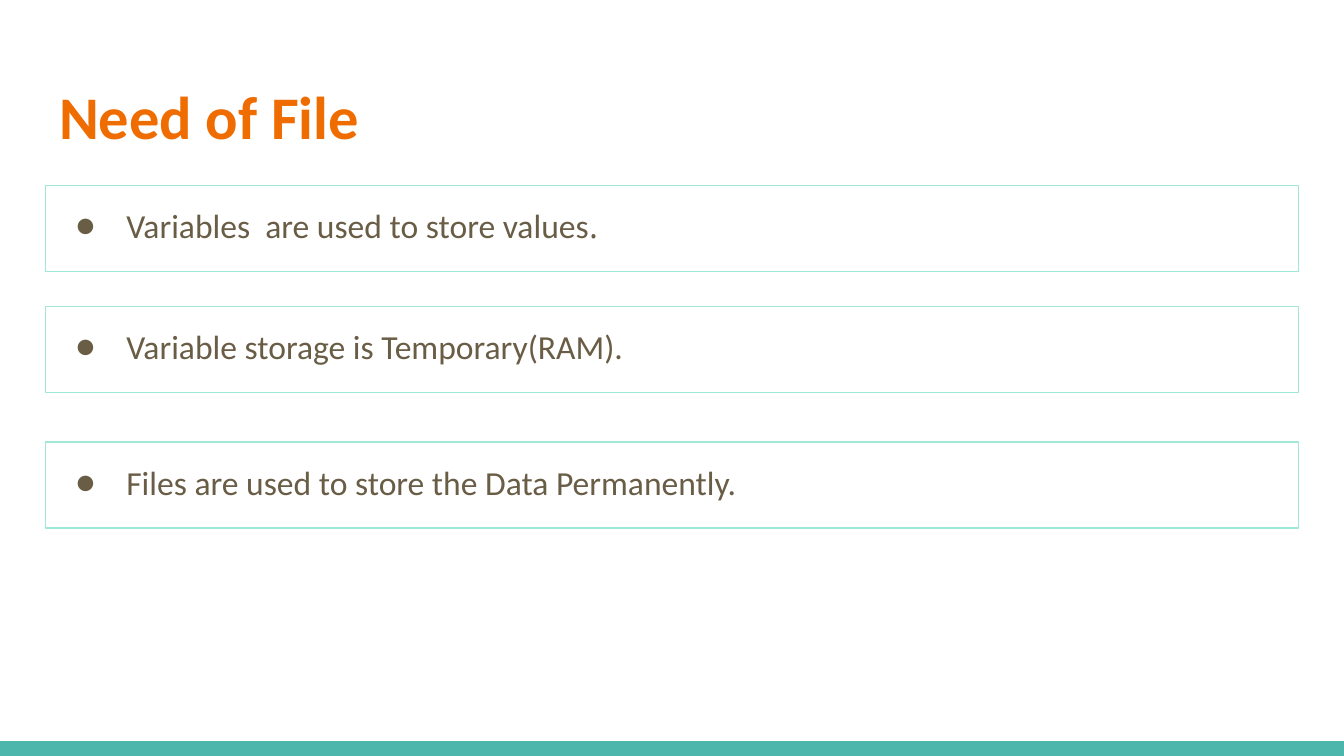
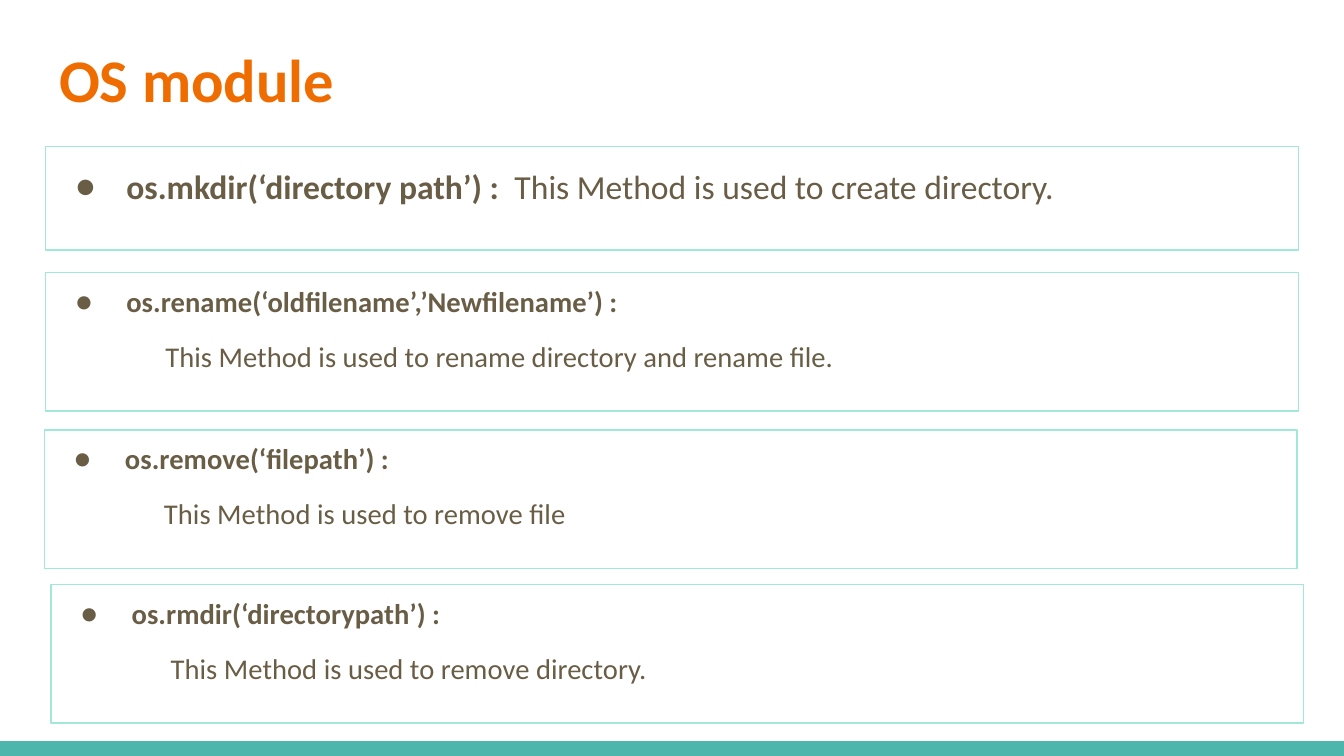
from lxml.etree import SubElement
from pptx import Presentation
from pptx.dml.color import RGBColor
from pptx.enum.shapes import MSO_SHAPE
from pptx.enum.text import MSO_ANCHOR, MSO_AUTO_SIZE, PP_ALIGN
from pptx.oxml.ns import qn
from pptx.util import Inches, Pt

# Grid: 100 columns by 56.25 rows, square cells
CELL = Inches(0.1)
COLS, ROWS = 100, 56.25
LEFT, WIDTH = 3.4, 93.2


def rgb(hex_color):
    return RGBColor.from_string(hex_color)


def assign(obj, values):
    for name, value in values.items():
        setattr(obj, name, value)


class Deck:
    TEAL, MINT, ORANGE, BROWN = "4DB6AC", "A1E8D9", "EF6C00", "695D46"
    FONT, ALT_FONT = "Calibri", "Open Sans"
    FRAME = {
        "word_wrap": True, "auto_size": MSO_AUTO_SIZE.NONE,
        "vertical_anchor": MSO_ANCHOR.TOP,
        "margin_left": CELL, "margin_right": CELL,
        "margin_top": CELL, "margin_bottom": CELL,
    }

    def __init__(self):
        self.prs = Presentation()
        assign(self.prs, {"slide_width": int(COLS * CELL),
                          "slide_height": int(ROWS * CELL)})
        self.s = None

    def place(self, sp, col, row, cols, rows):
        names = ("left", "top", "width", "height")
        assign(sp, {n: int(v * CELL) for n, v in zip(names, (col, row, cols, rows))})

    def slide(self, title, row):
        """Start a slide from the layout with a title and four bodies."""
        first = self.s is None
        self.s = self.prs.slides.add_slide(self.prs.slide_layouts[4])
        if first:
            self.master_band()
        self.bodies = [ph for ph in self.s.placeholders if ph.placeholder_format.idx]
        sp = self.s.shapes.title
        self.place(sp, LEFT, row, WIDTH, 7.7)
        assign(sp.text_frame, self.FRAME)
        p = sp.text_frame.paragraphs[0]
        p.alignment = PP_ALIGN.LEFT
        self.run(p, title, 32.4, self.ORANGE, bold=True)

    def master_band(self):
        """Draw the bottom band and hand it to the slide master."""
        sp = self.s.shapes.add_shape(MSO_SHAPE.RECTANGLE, 0, 0, CELL, CELL)
        self.place(sp, 0, ROWS - 1.1, COLS, 1.1)
        sp.shadow.inherit = False
        sp.fill.solid()
        sp.fill.fore_color.rgb = rgb(self.TEAL)
        sp.line.fill.background()
        self.prs.slide_master.shapes._spTree.append(sp._element)

    def panel(self, row, rows, col=LEFT):
        """Frame the next body placeholder and return its text frame."""
        sp = self.bodies.pop(0)
        self.place(sp, col, row, WIDTH, rows)
        sp.line.width = Pt(0.75)
        sp.line.color.rgb = rgb(self.MINT)
        tf = sp.text_frame
        assign(tf, self.FRAME)
        return tf

    def paragraph(self, p, spacing, margin=0.5, bullet=True, gap=0):
        assign(p, {"alignment": PP_ALIGN.LEFT, "line_spacing": spacing,
                   "space_before": Pt(gap), "space_after": Pt(gap)})
        pPr = p._p.get_or_add_pPr()
        pPr.set("marL", str(Inches(margin)))
        pPr.set("indent", str(Inches(-0.38 if bullet else 0)))
        if bullet:
            color = SubElement(pPr, qn("a:buClr"))
            SubElement(color, qn("a:srgbClr"), val=self.BROWN)
            SubElement(pPr, qn("a:buFont"), typeface=self.FONT)
            SubElement(pPr, qn("a:buChar"), char="●")
        else:
            SubElement(pPr, qn("a:buNone"))

    def run(self, p, text, size, color=BROWN, bold=False, font=FONT):
        r = p.add_run()
        r.text = text
        assign(r.font, {"name": font, "size": Pt(size), "bold": bold})
        r.font.color.rgb = rgb(color)

    def line_panel(self, row, rows, *runs):
        """Panel with one bullet; each run is a text and its format values."""
        p = self.panel(row, rows).paragraphs[0]
        self.paragraph(p, 1.15)
        for text, style in runs:
            self.run(p, text, 18, **style)

    def method_panel(self, row, col, call, meaning):
        """Panel with a bold call and its meaning indented below."""
        tf = self.panel(row, 10.3, col)
        p = tf.paragraphs[0]
        self.paragraph(p, 0.95)
        self.run(p, call, 15.3, bold=True)
        p = tf.add_paragraph()
        self.paragraph(p, 0.95, margin=0.79, bullet=False, gap=12)
        self.run(p, meaning, 15.3)

    def finish(self):
        """Remove the bodies that stayed empty."""
        for sp in self.bodies:
            sp._element.getparent().remove(sp._element)


def main():
    deck = Deck()

    # Need of File
    deck.slide("Need of File", 4.9)
    deck.line_panel(13.8, 6.4, ("Variables  are used to store values", {}),
                    (".", {"font": deck.ALT_FONT}))
    deck.line_panel(22.8, 6.4, ("Variable storage is Temporary(RAM).", {}))
    deck.line_panel(32.9, 6.4, ("Files are used to store the Data Permanently.", {}))
    deck.finish()

    # OS module
    deck.slide("OS module", 2.1)
    deck.line_panel(10.9, 7.7, ("os.mkdir(‘directory path’) :", {"bold": True}),
                    ("  This Method is used to create directory.", {}))
    methods = [
        (20.3, LEFT, "os.rename(‘oldfilename’,’Newfilename’) :",
         "This Method is used to rename directory and rename file."),
        (32, 3.3, "os.remove(‘filepath’) :", "This Method is used to remove file"),
        (43.5, 3.8, "os.rmdir(‘directorypath’) :",
         "This Method is used to remove directory."),
    ]
    for method in methods:
        deck.method_panel(*method)
    deck.finish()

    deck.prs.save("out.pptx")


if __name__ == "__main__":
    main()
